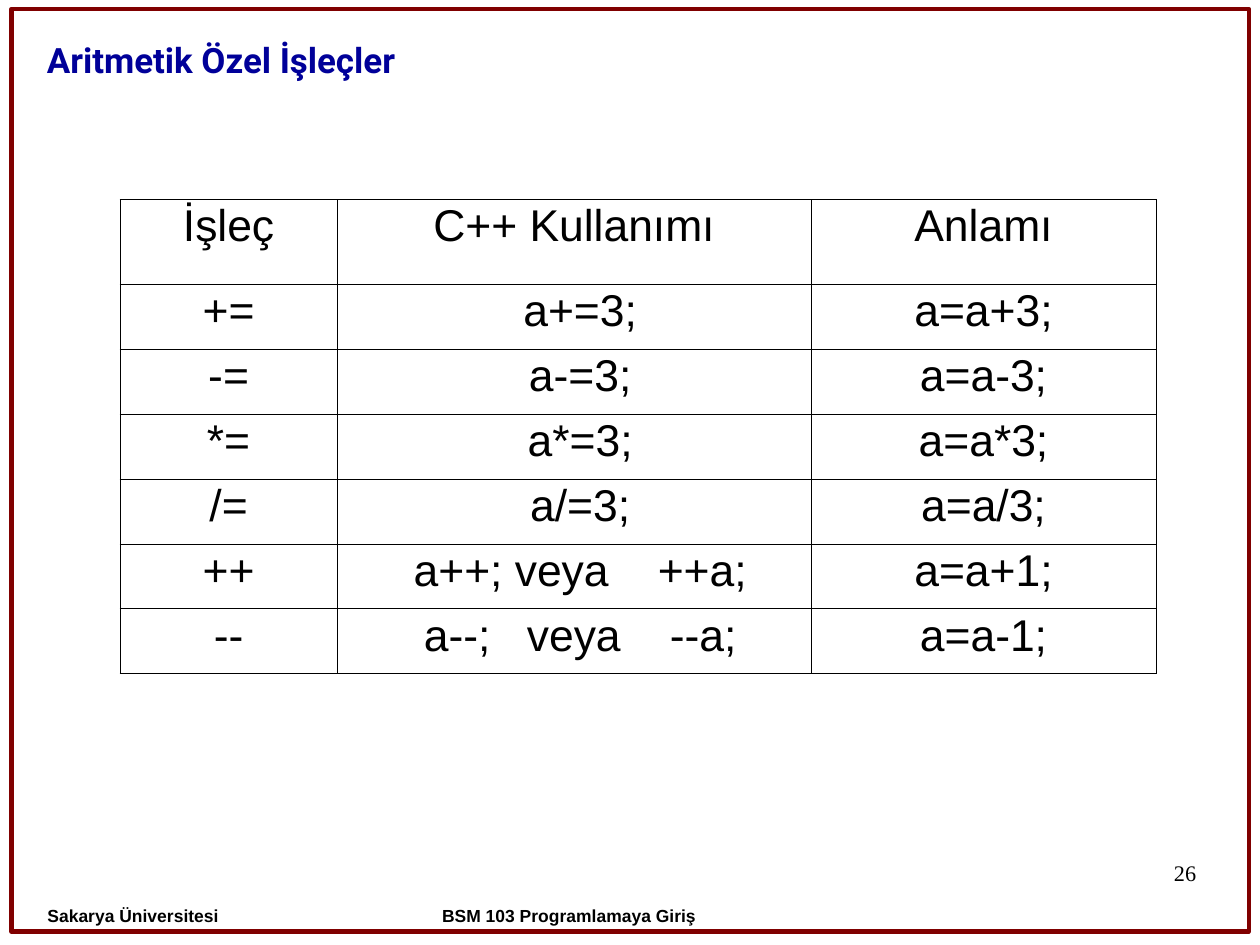
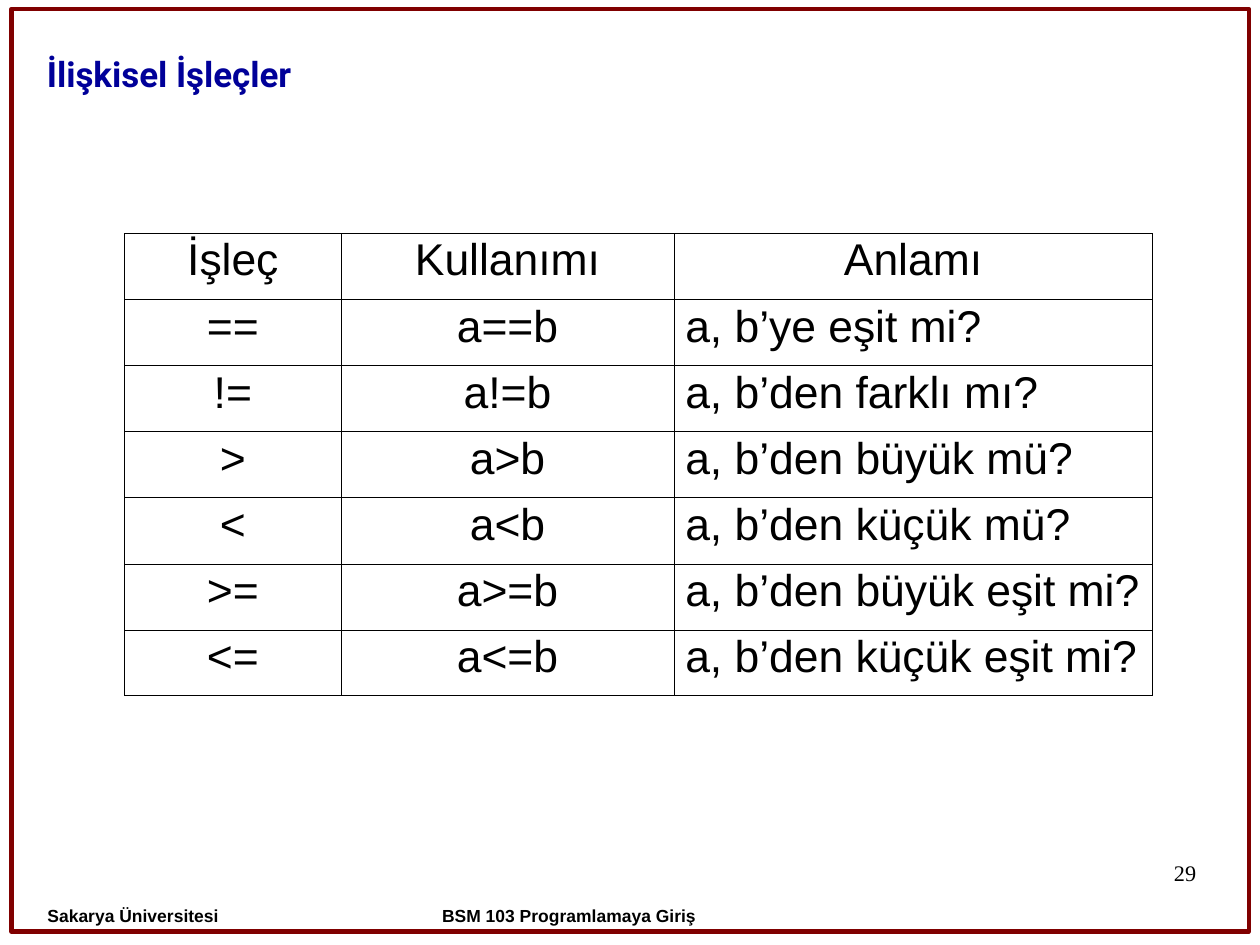
from lxml import etree
from pptx import Presentation
from pptx.dml.color import RGBColor
from pptx.enum.shapes import MSO_SHAPE
from pptx.enum.text import MSO_ANCHOR, PP_ALIGN
from pptx.oxml.ns import qn
from pptx.util import Pt

LEFT, CENTER, RIGHT = PP_ALIGN.LEFT, PP_ALIGN.CENTER, PP_ALIGN.RIGHT
TOP, BOTTOM = MSO_ANCHOR.TOP, MSO_ANCHOR.BOTTOM
ROUNDED = MSO_SHAPE.ROUNDED_RECTANGLE

COLORS = {"frame": "800000", "title": "000099", "text": "000000"}
SLIDE_SIZE = (793.75, 595.25)
FRAME_BOX = (7.2, 5.7, 779.5, 581)
NUMBER_BOX = (568.6, 542.2, 185, 41)
UNIVERSITY_BOX = (14.1, 558.7, 170, 38.9)
COURSE_BOX = (223.9, 558.7, 269.3, 36.7)
NO_INSETS = (0, 0, 0, 0)
TEXT_INSETS = (7.2, 3.6, 7.2, 3.6)
FOOTER_INSETS = (15.8, 18.6, 15.8, 6)
OUTER_LINE, INNER_LINE = 0.5, 0.23

# Text styles
TITLE = {"name": "Roboto", "size": Pt(22), "bold": True}
FOOTER = {"name": "Arial", "size": Pt(11), "bold": True}
NUMBER = {"name": "Times New Roman", "size": Pt(14)}
CELL = {"name": "Arial", "size": Pt(28)}

# In a row, a cell is a text, or a list of texts with gap widths between them
ARITHMETIC = {
    "title": "Aritmetik Özel İşleçler", "number": "26",
    "title_box": (22.5, 19.8, 630, 47.5), "anchor": TOP, "title_spacing": 1.04,
    "table_at": (75.6, 125.6), "columns": (136.8, 298.4, 217.6),
    "header_height": 53.4, "row_height": 40.88,
    "body_align": (CENTER, CENTER, CENTER),
    "indents": (0, 7.8, 0),
    "rows": [
        ("İşleç", "C++ Kullanımı", "Anlamı"),
        ("+=", "a+=3;", "a=a+3;"),
        ("-=", "a-=3;", "a=a-3;"),
        ("*=", "a*=3;", "a=a*3;"),
        ("/=", "a/=3;", "a=a/3;"),
        ("++", ["a++; veya", 31, "++a;"], "a=a+1;"),
        ("--", ["a--;", 23, "veya", 31, "--a;"], "a=a-1;"),
    ],
}
RELATIONAL = {
    "title": "İlişkisel İşleçler", "number": "29",
    "title_box": (22.5, 19.8, 576, 43.2), "anchor": BOTTOM, "title_spacing": 1,
    "table_at": (78.4, 147), "columns": (136.5, 209.6, 301.4),
    "header_height": 41.62, "row_height": 41.62,
    "body_align": (CENTER, CENTER, LEFT),
    "indents": (0, 0, 0),
    "rows": [
        ("İşleç", "Kullanımı", "Anlamı"),
        ("==", "a==b", "a, b’ye eşit mi?"),
        ("!=", "a!=b", "a, b’den farklı mı?"),
        (">", "a>b", "a, b’den büyük mü?"),
        ("<", "a<b", "a, b’den küçük mü?"),
        (">=", "a>=b", "a, b’den büyük eşit mi?"),
        ("<=", "a<=b", "a, b’den küçük eşit mi?"),
    ],
}


def points(values):
    return [Pt(value) for value in values]


def set_insets(target, insets):
    for side, inset in zip(("left", "top", "right", "bottom"), insets):
        setattr(target, f"margin_{side}", Pt(inset))


def add_run(paragraph, text, style, color="text"):
    run = paragraph.add_run()
    run.text = text
    for key, value in style.items():
        setattr(run.font, key, value)
    run.font.color.rgb = RGBColor.from_string(COLORS[color])
    return run


def add_label(slide, box, text, style, color="text", align=LEFT,
              insets=FOOTER_INSETS, spacing=0.93, anchor=TOP):
    frame = slide.shapes.add_textbox(*points(box)).text_frame
    frame.word_wrap = True
    frame.vertical_anchor = anchor
    set_insets(frame, insets)
    paragraph = frame.paragraphs[0]
    paragraph.alignment, paragraph.line_spacing = align, spacing
    add_run(paragraph, text, style, color)


def add_page_frame(slide, box):
    border = slide.shapes.add_shape(ROUNDED, *points(box))
    border.adjustments[0] = 0
    border.shadow.inherit = False
    border.fill.background()
    border.line.color.rgb = RGBColor.from_string(COLORS["frame"])
    border.line.width = Pt(2.83)


def set_borders(cell, widths):
    """Widths are given in the order left, right, top, bottom."""
    properties = cell._tc.get_or_add_tcPr()
    for index, (side, width) in enumerate(zip("LRTB", widths)):
        line = etree.Element(qn(f"a:ln{side}"), w=str(Pt(width)))
        fill = etree.SubElement(line, qn("a:solidFill"))
        etree.SubElement(fill, qn("a:srgbClr"), val=COLORS["text"])
        properties.insert(index, line)


def fill_cell(cell, content, align, indent):
    left, *others = TEXT_INSETS
    set_insets(cell, (left + indent, *others))
    cell.fill.background()
    paragraph = cell.text_frame.paragraphs[0]
    paragraph.alignment, paragraph.line_spacing = align, 0.93
    paragraph.space_before = Pt(7)
    for part in [content] if isinstance(content, str) else content:
        if isinstance(part, str):
            add_run(paragraph, part, CELL)
        else:
            # One space, widened by letter spacing to the given gap
            gap = add_run(paragraph, " ", CELL)
            gap.font._element.set("spc", str(round((part - 7.8) * 100)))


def add_operator_table(slide, content):
    rows, columns = content["rows"], content["columns"]
    heights = [content["header_height"]] + [content["row_height"]] * (len(rows) - 1)
    box = (*content["table_at"], sum(columns), sum(heights))
    table = slide.shapes.add_table(len(rows), len(columns), *points(box)).table
    table.first_row = table.horz_banding = False
    for column, width in zip(table.columns, columns):
        column.width = Pt(width)
    for row, height in zip(table.rows, heights):
        row.height = Pt(height)

    last_row, last_column = len(rows) - 1, len(columns) - 1
    for r, row in enumerate(rows):
        for c, text in enumerate(row):
            cell = table.cell(r, c)
            align = content["body_align"][c] if r else CENTER
            fill_cell(cell, text, align, content["indents"][c] if r else 0)
            edges = (c == 0, c == last_column, r == 0, r == last_row)
            set_borders(cell, [OUTER_LINE if edge else INNER_LINE for edge in edges])


def add_operator_slide(presentation, content):
    slide = presentation.slides.add_slide(presentation.slide_layouts[6])
    # Frame and page number
    add_page_frame(slide, FRAME_BOX)
    add_label(slide, NUMBER_BOX, content["number"], NUMBER, align=RIGHT,
              insets=NO_INSETS, spacing=0.95)
    # Title
    add_label(slide, content["title_box"], content["title"], TITLE, "title",
              insets=TEXT_INSETS, spacing=content["title_spacing"],
              anchor=content["anchor"])
    # Footer
    add_label(slide, UNIVERSITY_BOX, "Sakarya Üniversitesi", FOOTER)
    add_label(slide, COURSE_BOX, "BSM 103 Programlamaya Giriş", FOOTER, align=CENTER)
    # Operators
    add_operator_table(slide, content)


def main():
    presentation = Presentation()
    presentation.slide_width, presentation.slide_height = points(SLIDE_SIZE)
    for content in (ARITHMETIC, RELATIONAL):
        add_operator_slide(presentation, content)
    presentation.save("out.pptx")


if __name__ == "__main__":
    main()
